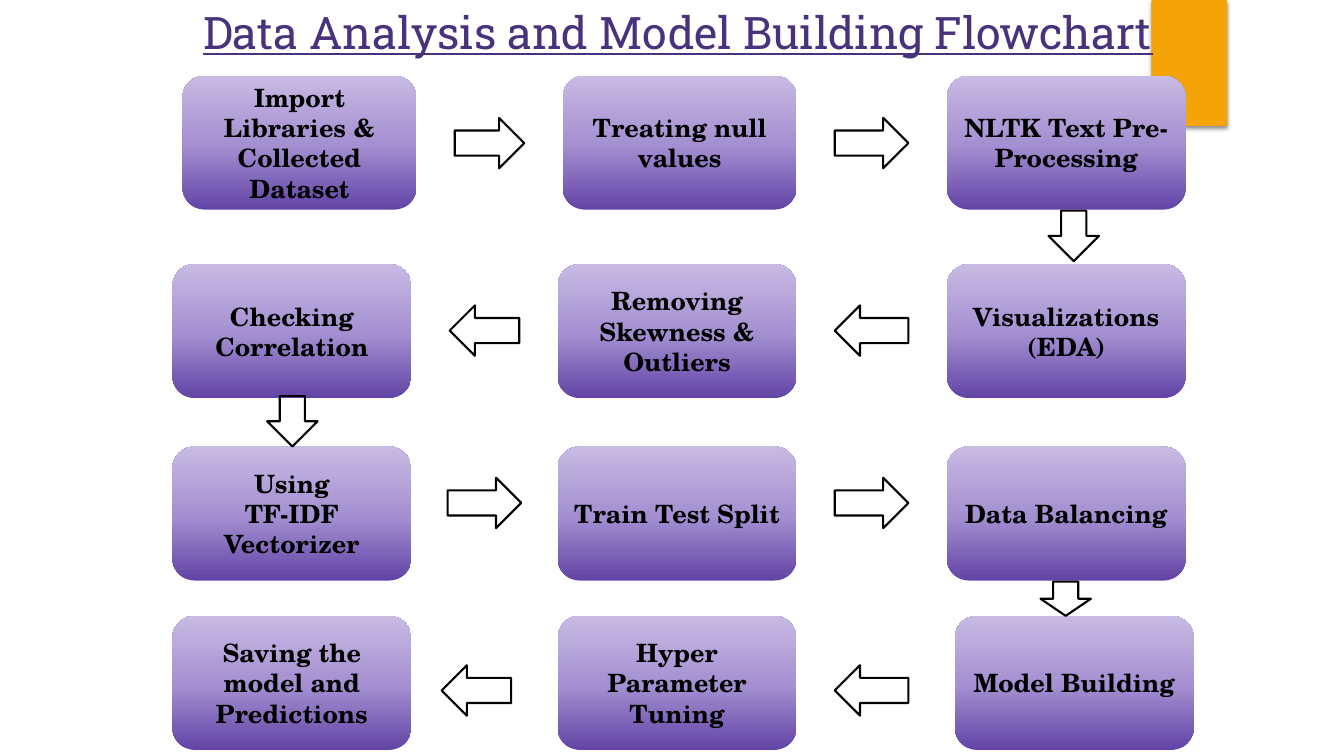
"""Build a one-slide flowchart of data analysis and model building steps."""
from copy import deepcopy

from lxml import etree
from pptx import Presentation
from pptx.dml.color import RGBColor
from pptx.enum import shapes, text
from pptx.oxml.ns import qn

TITLE = "Data Analysis and Model Building Flowchart"
TITLE_BOX = (59, 0, 1227, 94)
ACCENT_BOX = (1142, 0, 75, 125)
WIDE, NARROW, STEP_HEIGHT, ARROW = 237, 232, 133, 50
ROWS = [
    {"top": 75, "arrow_top": 117, "flow": "RIGHT_ARROW",
     "steps": [("Import Libraries & Collected Dataset", 181, NARROW),
               ("Treating null values", 558, NARROW),
               ("NLTK Text Pre-Processing", 939, WIDE)],
     "arrows": [(451, 69), (828, 73)]},
    {"top": 262, "arrow_top": 303, "flow": "LEFT_ARROW",
     "steps": [("Checking Correlation", 171, WIDE),
               ("Removing Skewness & Outliers", 553, WIDE),
               ("Visualizations\n(EDA)", 939, WIDE)],
     "arrows": [(446, 69), (828, 73)]},
    {"top": 443, "arrow_top": 474, "flow": "RIGHT_ARROW",
     "steps": [("Using\nTF-IDF Vectorizer", 171, WIDE),
               ("Train Test Split", 553, WIDE),
               ("Data Balancing", 939, WIDE)],
     "arrows": [(444, 73), (828, 73)]},
    {"top": 611, "arrow_top": 660, "flow": "LEFT_ARROW",
     "steps": [("Saving the model and Predictions", 171, WIDE),
               ("Hyper Parameter Tuning", 553, WIDE),
               ("Model Building", 947, WIDE)],
     "arrows": [(438, 69), (828, 73)]},
]
TURNS = [(1040, 209, ARROW, ARROW), (265, 393, ARROW, ARROW), (1032, 577, ARROW, 34)]

PX = 9144
PT = 12700
THEME = {
    "accent": RGBColor.from_string("F5A408"),
    "outline": RGBColor.from_string("000000"),
    "outline_width": int(1.5 * PT),
    "gradient": [(0, "6244A6"), (0.48, "A48FD1"), (1, "C7BAE3")],
    "title": {"name": "Roboto Slab", "size": 32 * PT, "underline": True, "bold": False,
              "color": "49327C"},
    "step": {"name": "TeX Gyre Schola", "size": 18 * PT, "bold": True, "color": "000000"},
}


def emu(box):
    return [length * PX for length in box]


def write(frame, words, style):
    frame.text = words
    frame.word_wrap = True
    for paragraph in frame.paragraphs:
        paragraph.alignment = text.PP_ALIGN.CENTER
        font = paragraph.runs[0].font
        for key, value in style.items():
            if key == "color":
                font.color.rgb = RGBColor.from_string(value)
            else:
                setattr(font, key, value)


def add_plain(slide, kind, box):
    part = slide.shapes.add_shape(getattr(shapes.MSO_SHAPE, kind), *emu(box))
    part.shadow.inherit = False
    return part


def add_accent(slide):
    accent = add_plain(slide, "RECTANGLE", ACCENT_BOX)
    accent.fill.solid()
    accent.fill.fore_color.rgb = THEME["accent"]
    accent.line.fill.background()
    effects = accent._element.spPr.find(qn("a:effectLst"))
    shadow = etree.SubElement(effects, qn("a:outerShdw"), blurRad=str(3 * PT),
                              dist=str(2 * PT), dir="5400000", rotWithShape="0")
    black = etree.SubElement(shadow, qn("a:srgbClr"), val="000000")
    etree.SubElement(black, qn("a:alpha"), val="45000")
    slide.shapes._spTree.insert(2, accent._element)


def add_step(slide, words, box):
    step = add_plain(slide, "FLOWCHART_ALTERNATE_PROCESS", box)
    step.line.fill.background()
    step.fill.gradient()
    step.fill.gradient_angle = 90
    stops = step._element.spPr.find(".//" + qn("a:gsLst"))
    stops.insert(1, deepcopy(stops[0]))
    for stop, (position, color) in zip(step.fill.gradient_stops, THEME["gradient"]):
        stop.position = position
        stop.color.rgb = RGBColor.from_string(color)
    step.text_frame.vertical_anchor = text.MSO_ANCHOR.MIDDLE
    write(step.text_frame, words, THEME["step"])


def add_arrow(slide, kind, box):
    arrow = add_plain(slide, kind, box)
    arrow.fill.background()
    arrow.line.color.rgb = THEME["outline"]
    arrow.line.width = THEME["outline_width"]


def main():
    deck = Presentation()
    deck.slide_width, deck.slide_height = emu((1333, 750))
    slide = deck.slides.add_slide(deck.slide_layouts[5])
    title = slide.shapes.title
    for side, length in zip(("left", "top", "width", "height"), emu(TITLE_BOX)):
        setattr(title, side, length)
    write(title.text_frame, TITLE, THEME["title"])
    title.text_frame.vertical_anchor = text.MSO_ANCHOR.TOP
    title.text_frame.auto_size = text.MSO_AUTO_SIZE.SHAPE_TO_FIT_TEXT
    add_accent(slide)
    for row in ROWS:
        for words, left, width in row["steps"]:
            add_step(slide, words, (left, row["top"], width, STEP_HEIGHT))
        for left, width in row["arrows"]:
            add_arrow(slide, row["flow"], (left, row["arrow_top"], width, ARROW))
    for box in TURNS:
        add_arrow(slide, "DOWN_ARROW", box)
    deck.save("out.pptx")


if __name__ == "__main__":
    main()
